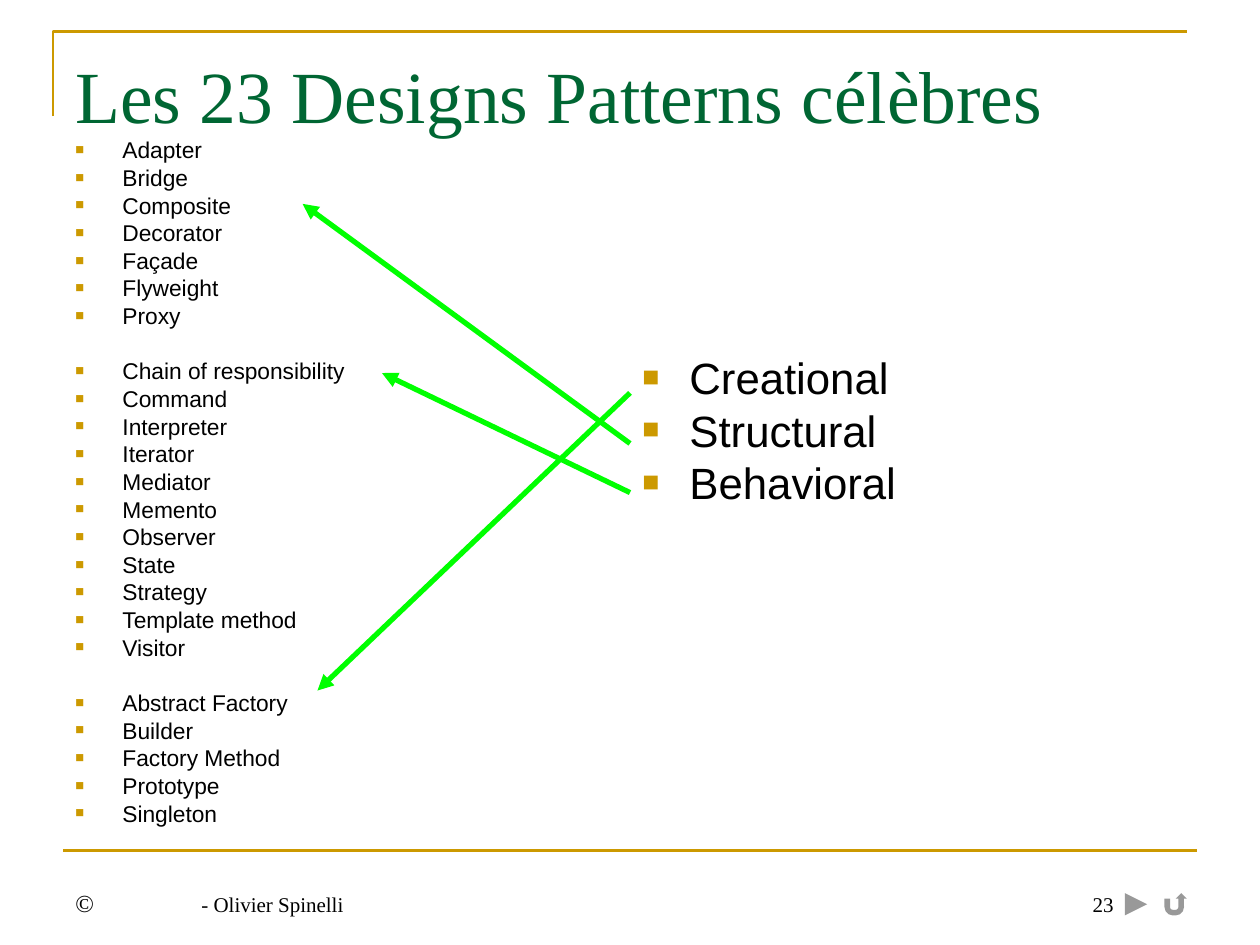
from lxml.etree import SubElement
from pptx import Presentation
from pptx.dml.color import RGBColor
from pptx.enum.shapes import MSO_CONNECTOR, MSO_SHAPE
from pptx.enum.text import MSO_ANCHOR
from pptx.oxml.ns import qn
from pptx.util import Cm, Pt

COLOURS = {
    "gold": "CC9900",
    "green": "006633",
    "arrow": "00FF00",
    "text": "000000",
    "paper": "FFFFFF",
}
SERIF = "Times New Roman"
SANS = "Arial"


def colour(name):
    return RGBColor.from_string(COLOURS[name])


def apply(target, values):
    for attribute, value in values.items():
        setattr(target, attribute, value)


class SlideBuilder:
    frame_format = {
        "word_wrap": True,
        "margin_left": Cm(0.25),
        "margin_right": Cm(0.25),
        "margin_top": Cm(0.13),
        "margin_bottom": Cm(0.13),
    }
    bullet_indent = Cm(0.95)

    def __init__(self, slide):
        self.shapes = slide.shapes

    def text_box(self, left, top, width, height, anchor=MSO_ANCHOR.TOP):
        box = self.shapes.add_textbox(Cm(left), Cm(top), Cm(width), Cm(height))
        apply(box.text_frame, {**self.frame_format, "vertical_anchor": anchor})
        return box

    def run(self, paragraph, text, size, font=SERIF, ink="text"):
        run = paragraph.add_run()
        run.text = text
        apply(run.font, {"size": Pt(size), "name": font})
        run.font.color.rgb = colour(ink)

    def label(self, area, pieces, ink="text", tab=None):
        box = self.text_box(*area, anchor=MSO_ANCHOR.BOTTOM)
        paragraph = box.text_frame.paragraphs[0]
        for text, size in pieces:
            self.run(paragraph, text, size, ink=ink)
        if tab:
            position, alignment = tab
            stops = SubElement(paragraph._p.get_or_add_pPr(), qn("a:tabLst"))
            SubElement(stops, qn("a:tab"), pos=str(Cm(position)), algn=alignment)
        return box

    def bullet_list(self, area, groups, size, spacing, group_spacing=0):
        box = self.text_box(*area)
        frame = box.text_frame
        for group_index, group in enumerate(groups):
            for item_index, item in enumerate(group):
                first = group_index == item_index == 0
                paragraph = frame.paragraphs[0] if first else frame.add_paragraph()
                starts_group = group_index > 0 and item_index == 0
                before = group_spacing if starts_group else spacing
                apply(paragraph, {"line_spacing": 0.8, "space_before": Pt(before)})
                self.bullet(paragraph)
                self.run(paragraph, item, size, SANS)
        return box

    def bullet(self, paragraph):
        properties = paragraph._p.get_or_add_pPr()
        properties.set("marL", str(self.bullet_indent))
        properties.set("indent", str(-self.bullet_indent))
        tint = SubElement(properties, qn("a:buClr"))
        SubElement(tint, qn("a:srgbClr"), val=COLOURS["gold"])
        SubElement(properties, qn("a:buSzPct"), val="65000")
        SubElement(properties, qn("a:buFont"), typeface=SANS)
        SubElement(properties, qn("a:buChar"), char="■")

    def line(self, start, end, ink, width, arrow=False):
        points = [Cm(value) for value in (*start, *end)]
        connector = self.shapes.add_connector(MSO_CONNECTOR.STRAIGHT, *points)
        connector.line.color.rgb = colour(ink)
        connector.line.width = Pt(width)
        properties = connector.element.spPr
        if arrow:
            SubElement(properties.find(qn("a:ln")), qn("a:tailEnd"), type="triangle")
        SubElement(properties, qn("a:effectLst"))
        return connector

    def corner(self, points, ink, width):
        start, *rest = [(Cm(x), Cm(y)) for x, y in points]
        builder = self.shapes.build_freeform(*start, scale=1.0)
        builder.add_line_segments(rest, close=False)
        outline = builder.convert_to_shape()
        outline.shadow.inherit = False
        outline.fill.background()
        outline.line.color.rgb = colour(ink)
        outline.line.width = Pt(width)

    def button(self, kind, left, top, width, height):
        button = self.shapes.add_shape(kind, Cm(left), Cm(top), Cm(width), Cm(height))
        button.shadow.inherit = False
        button.fill.solid()
        button.fill.fore_color.rgb = colour("paper")
        button.line.fill.background()


def main():
    presentation = Presentation()
    apply(presentation, {"slide_width": Cm(25.4), "slide_height": Cm(19.05)})
    builder = SlideBuilder(presentation.slides.add_slide(presentation.slide_layouts[6]))

    builder.corner([(1.07, 2.34), (1.07, 0.64), (23.93, 0.64)], "gold", 1.5)
    builder.line((1.27, 17.15), (24.13, 17.15), "gold", 1.5)

    navigation = (MSO_SHAPE.ACTION_BUTTON_FORWARD_OR_NEXT, MSO_SHAPE.ACTION_BUTTON_RETURN)
    for index, kind in enumerate(navigation):
        builder.button(kind, 22.5 + 0.8 * index, 17.93, 0.8, 0.6)

    builder.label((1.27, 17.35, 5.92, 1.27), [("©\t", 14), ("- Olivier Spinelli", 12)],
                  tab=(2.54, "l"))
    builder.label((18.21, 17.35, 5.92, 1.27), [("\t23", 12)], tab=(3.99, "r"))
    builder.label((1.27, 0.76, 22.86, 2.16), [("Les 23 Designs Patterns célèbres", 42)],
                  ink="green")

    structural = ["Adapter", "Bridge", "Composite", "Decorator", "Façade", "Flyweight", "Proxy"]
    behavioral = ["Chain of responsibility", "Command", "Interpreter", "Iterator", "Mediator",
                  "Memento", "Observer", "State", "Strategy", "Template method", "Visitor"]
    creational = ["Abstract Factory", "Builder", "Factory Method", "Prototype", "Singleton"]
    builder.bullet_list((1.27, 2.72, 6.83, 14.2), [structural, behavioral, creational],
                        13, 3.3, group_spacing=19.1)
    categories = builder.bullet_list((12.7, 7.14, 6.83, 3.6),
                                     [["Creational", "Structural", "Behavioral"]], 25, 6.2)

    builder.line((12.7, 7.92), (6.4, 13.92), "arrow", 3, arrow=True)
    builder.line((12.7, 9.93), (7.7, 7.52), "arrow", 3, arrow=True)
    structural_arrow = builder.line((12.7, 8.94), (6.1, 4.11), "arrow", 3, arrow=True)
    structural_arrow.begin_connect(categories, 1)

    presentation.save("out.pptx")


if __name__ == "__main__":
    main()
